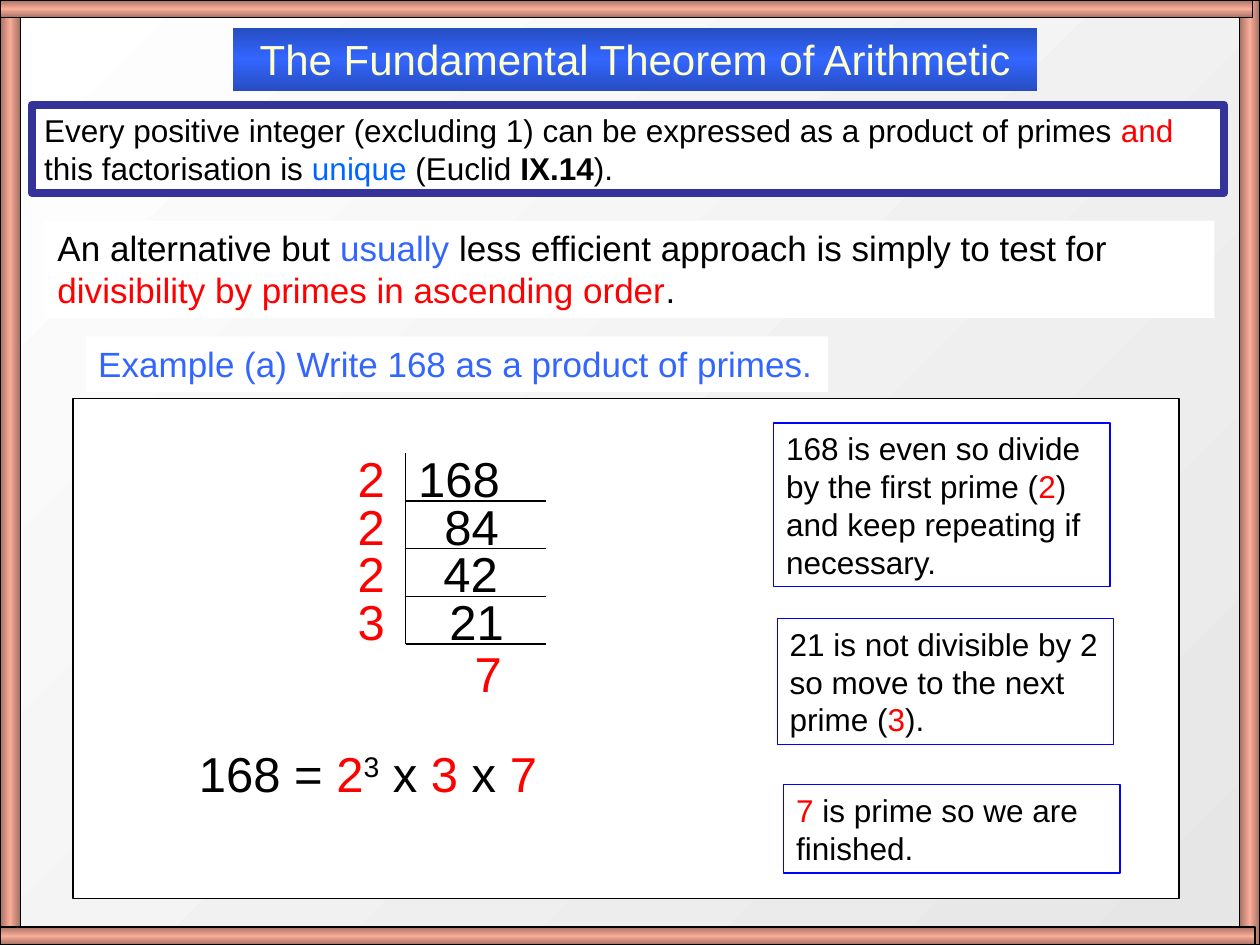
from copy import deepcopy

from lxml import etree
from pptx import Presentation
from pptx.dml.color import RGBColor
from pptx.enum.shapes import MSO_CONNECTOR, MSO_SHAPE
from pptx.enum.text import MSO_ANCHOR, PP_ALIGN
from pptx.oxml.ns import qn
from pptx.util import Cm, Pt

RECTANGLE = MSO_SHAPE.RECTANGLE
STRAIGHT = MSO_CONNECTOR.STRAIGHT
TOP = MSO_ANCHOR.TOP
LEFT, CENTER = PP_ALIGN.LEFT, PP_ALIGN.CENTER

WIDTH, HEIGHT = 25.4, 19.05
FONT = "Arial"
COLORS = {
    "black": "000000", "white": "FFFFFF", "red": "FF0000", "blue": "3366FF",
    "bright": "0066FF", "navy": "333399", "outline": "0000FF",
    "cream": "FFFFCC", "deep": "264DC1", "copper": "A47163",
    "salmon": "F9AC97", "grey": "E6E6E6",
}


def rgb(name):
    return RGBColor.from_string(COLORS[name])


def write(shape, spans, size, align=LEFT):
    """Fill a shape with one paragraph of (text, colour[, style]) spans."""
    frame = shape.text_frame
    frame.word_wrap = True
    frame.vertical_anchor = TOP
    para = frame.paragraphs[0]
    para.alignment = align
    for text, color, *style in spans:
        span = para.add_run()
        span.text = text
        span.font.name = FONT
        span.font.size = Pt(size)
        span.font.color.rgb = rgb(color)
        if "bold" in style:
            span.font.bold = True
        if "super" in style:
            span.font._element.set("baseline", "30000")


def add_box(page, box, fill=None, line=None, weight=0.75):
    shape = page.shapes.add_shape(RECTANGLE, *map(Cm, box))
    shape.shadow.inherit = False
    if fill:
        shape.fill.solid()
        shape.fill.fore_color.rgb = rgb(fill)
    else:
        shape.fill.background()
    if line:
        shape.line.color.rgb = rgb(line)
        shape.line.width = Pt(weight)
    else:
        shape.line.fill.background()
    return shape


def add_text(page, box, spans, size):
    write(page.shapes.add_textbox(*map(Cm, box)), spans, size)


def add_rule(page, x1, y1, x2, y2):
    rule = page.shapes.add_connector(STRAIGHT, Cm(x1), Cm(y1), Cm(x2), Cm(y2))
    rule.line.color.rgb = rgb("black")
    rule.line.width = Pt(0.75)
    etree.SubElement(rule._element.spPr, qn("a:effectLst"))


def shade(fill, start, end, angle):
    fill.gradient()
    fill.gradient_angle = angle
    for stop, color, position in zip(fill.gradient_stops, (start, end), (0, 1)):
        stop.color.rgb = rgb(color)
        stop.position = position


def shade_tube(shape, edge, middle, angle):
    """Gradient with equal edges and another colour halfway."""
    shade(shape.fill, edge, edge, angle)
    stops = shape._element.spPr.find(qn("a:gradFill")).find(qn("a:gsLst"))
    stops.insert(1, deepcopy(stops[0]))
    center = shape.fill.gradient_stops[1]
    center.color.rgb = rgb(middle)
    center.position = 0.5


def build_frame(page, box):
    left, top, width, height = box
    side, bar = 0.41, 0.36
    for x in (left, left + width - side):
        shade_tube(add_box(page, (x, top, side, height), line="black"),
                   "copper", "salmon", 180)
    for y, length in ((top, width - 0.15), (top + height - bar, width - 0.1)):
        shade_tube(add_box(page, (left, y, length, bar), line="black"),
                   "copper", "salmon", 270)


def build_header(page, box):
    left, top, width, height = box
    # Title banner
    banner = add_box(page, (left + 4.06, top, 16.21, 1.27))
    shade_tube(banner, "deep", "blue", 270)
    write(banner, [("The Fundamental Theorem of Arithmetic", "cream")], 24, CENTER)
    # Theorem
    theorem = add_box(page, (left, top + 1.55, width, 1.78), "white", "navy", 4.5)
    write(theorem, [
        ("Every positive integer (excluding 1) can be expressed as a product"
         " of primes ", "black"),
        ("and", "red"), (" this factorisation is ", "black"),
        ("unique ", "bright"), ("(Euclid ", "black"),
        ("IX.14", "black", "bold"), (").", "black")], 18)
    # Approach
    approach = add_box(page, (left + 0.27, top + 3.89, 23.57, 1.96), "white")
    write(approach, [
        ("An alternative but ", "black"), ("usually", "blue"),
        (" less efficient approach is simply to test for ", "black"),
        ("divisibility by primes in ascending order", "red"),
        (".", "black")], 20)
    # Example heading
    example = add_box(page, (left + 1.09, top + 6.22, 14.96, 1.12), "white")
    write(example, [("Example (a) Write 168 as a product of primes.", "blue")], 20)


def build_ladder(page, box):
    """Repeated division: prime, bracket and number on every row."""
    left, top, width, height = box
    pitch, text_height, lift = height / 4, 1.45, 0.22
    for row, factor in enumerate("2223"):
        y = top + row * pitch
        add_rule(page, left, y, left, y + pitch)
        add_rule(page, left, y + pitch, left + width, y + pitch)
        add_text(page, (left - 1.22, y - lift, 1.52, text_height),
                 [(factor, "red")], 28)
    numbers = (("168", 0, "black"), ("84", 0.53, "black"), ("42", 0.51, "black"),
               ("21", 0.63, "black"), ("7", 1.14, "red"))
    for row, (number, indent, color) in enumerate(numbers):
        drop = 0.09 if number == "7" else 0
        y = top + row * pitch - lift + drop
        add_text(page, (left + indent, y, 2.57, text_height), [(number, color)], 28)


def build_notes(page, box):
    left, top, width, height = box
    notes = (
        (0, 0, 3.3, [("168 is even so divide by the first prime (", "black"),
                     ("2", "red"),
                     (") and keep repeating if necessary.", "black")]),
        (0.07, 3.94, 2.54, [("21 is not divisible by 2 so move to the next prime (",
                             "black"), ("3", "red"), (").", "black")]),
        (0.2, 7.29, 1.78, [("7", "red"), (" is prime so we are finished.", "black")]),
    )
    for x, y, note_height, spans in notes:
        note = add_box(page, (left + x, top + y, width, note_height), line="outline")
        write(note, spans, 18)


def build_working(page, box):
    left, top, width, height = box
    add_box(page, box, "white", "black")
    build_ladder(page, (left + 6.71, top + 1.11, 2.82, 3.84))
    build_notes(page, (left + 14.13, top + 0.5, 6.78, 9.07))
    # Result
    add_text(page, (left + 2.29, top + 6.83, 8.81, 1.45), [
        ("168 = ", "black"), ("2", "red"), ("3", "black", "super"),
        (" x ", "black"), ("3", "red"), (" x ", "black"), ("7", "red")], 28)


def main():
    deck = Presentation()
    deck.slide_width, deck.slide_height = Cm(WIDTH), Cm(HEIGHT)
    page = deck.slides.add_slide(deck.slide_layouts[6])
    shade(page.background.fill, "grey", "white", 135)
    build_frame(page, (0, 0, WIDTH, HEIGHT))
    build_header(page, (0.64, 0.56, 24.03, 7.34))
    build_working(page, (1.47, 8.03, 22.3, 10.08))
    deck.save("out.pptx")


if __name__ == "__main__":
    main()
